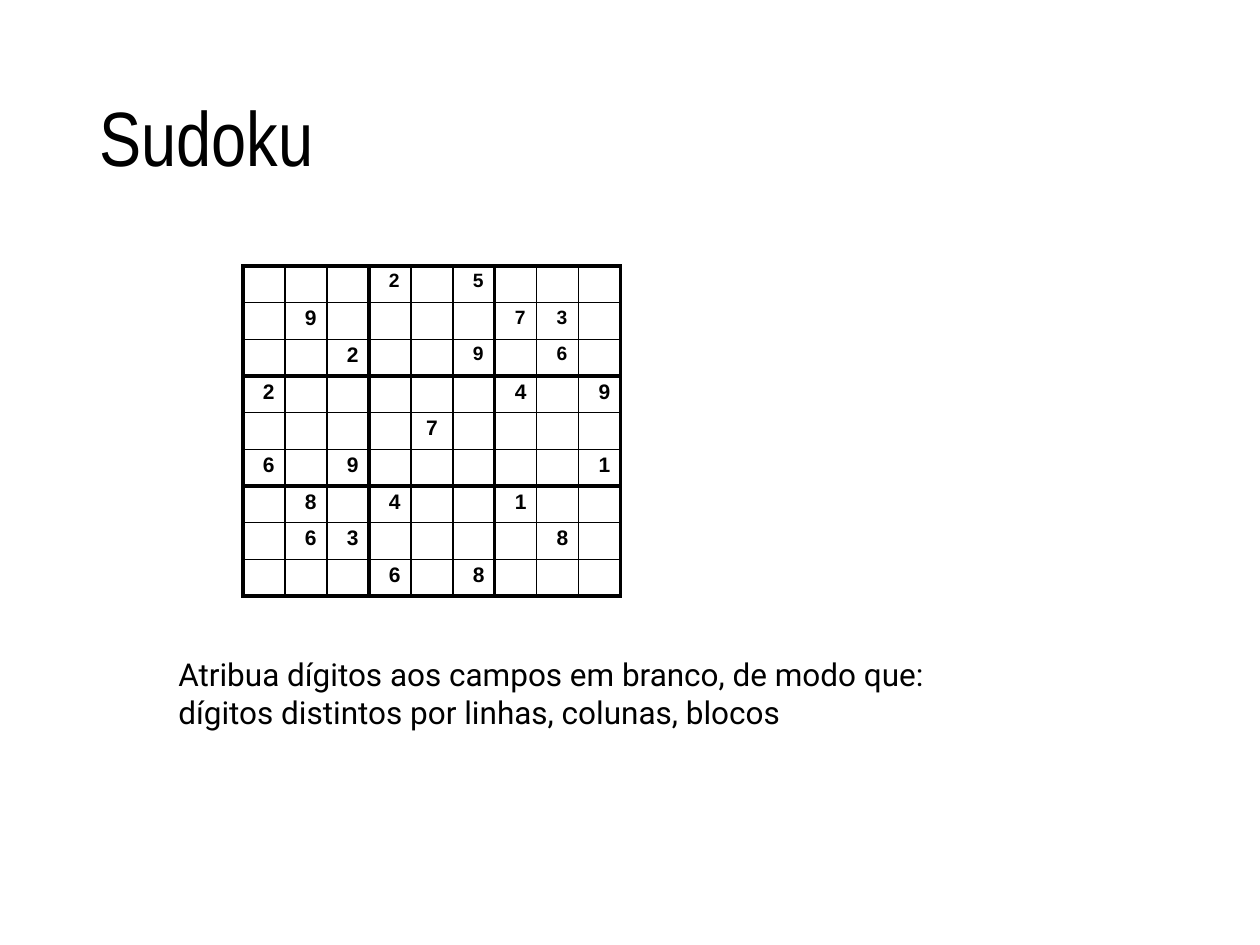
from lxml import etree
from pptx import Presentation
from pptx.dml.color import RGBColor
from pptx.enum.text import MSO_ANCHOR, MSO_AUTO_SIZE, PP_ALIGN
from pptx.oxml.ns import qn
from pptx.util import Inches, Pt

TITLE = "Sudoku"
PUZZLE = [
    "...2.5...",
    ".9....73.",
    "..2..9.6.",
    "2.....4.9",
    "....7....",
    "6.9.....1",
    ".8.4..1..",
    ".63....8.",
    "...6.8...",
]
RULES = [
    "Atribua dígitos aos campos em branco, de modo que:",
    "dígitos distintos por linhas, colunas, blocos",
]

PX = Inches(1) // 126
BLACK = RGBColor(0, 0, 0)
TITLE_BOX = (87, 50, 1086, 183)
GRID_BOX = (243, 266, 378, 330)
RULES_BOX = (166, 649, 926, 89)
SIZE = len(PUZZLE)
BLOCK = 3
DIGIT_INDENT = 20
DIGIT_MARGIN_TOP = 4
THICK, THIN = Pt(2.25), Pt(1)
TITLE_ONLY = 5
LEFT, CENTER = PP_ALIGN.LEFT, PP_ALIGN.CENTER
MIDDLE = MSO_ANCHOR.MIDDLE
FIT_SHAPE = MSO_AUTO_SIZE.SHAPE_TO_FIT_TEXT


def scaled(box):
    return [length * PX for length in box]


def set_font(paragraph, name, size, bold=False):
    font = paragraph.font
    font.name, font.size, font.bold = name, Pt(size), bold
    font.color.rgb = BLACK


def set_borders(cell, row, column):
    """Draw thick lines around each block and thin lines inside it."""
    edges = {"L": column, "R": column + 1, "T": row, "B": row + 1}
    properties = cell._tc.get_or_add_tcPr()
    for side, edge in edges.items():
        width = THIN if edge % BLOCK else THICK
        line = etree.SubElement(properties, qn(f"a:ln{side}"), w=str(width))
        fill = etree.SubElement(line, qn("a:solidFill"))
        etree.SubElement(fill, qn("a:srgbClr"), val=str(BLACK))


def fill_cell(cell, digit, row, column):
    set_borders(cell, row, column)
    cell.fill.background()
    cell.margin_left = cell.margin_right = cell.margin_bottom = 0
    cell.margin_top = DIGIT_MARGIN_TOP * PX
    paragraph = cell.text_frame.paragraphs[0]
    small = row < BLOCK <= column
    set_font(paragraph, "Arial", 11 if small else 12, bold=True)
    if digit == ".":
        return
    paragraph.text = digit
    paragraph.space_before = Pt(3.2)
    if row == column == SIZE // 2:
        paragraph.alignment = CENTER
    else:
        paragraph._p.get_or_add_pPr().set("marL", str(DIGIT_INDENT * PX))


def add_title(slide):
    title = slide.shapes.title
    title.left, title.top, title.width, title.height = scaled(TITLE_BOX)
    title.text_frame.text = TITLE
    title.text_frame.vertical_anchor = MIDDLE
    paragraph = title.text_frame.paragraphs[0]
    paragraph.alignment = LEFT
    paragraph.line_spacing = 0.9
    set_font(paragraph, "Arial Narrow", 44)


def add_puzzle(slide):
    grid = slide.shapes.add_table(SIZE, SIZE, *scaled(GRID_BOX)).table
    grid.first_row = grid.horz_banding = False
    for row, digits in enumerate(PUZZLE):
        for column, digit in enumerate(digits):
            fill_cell(grid.cell(row, column), digit, row, column)


def add_rules(slide):
    frame = slide.shapes.add_textbox(*scaled(RULES_BOX)).text_frame
    frame.word_wrap = True
    frame.auto_size = FIT_SHAPE
    frame.text = "\n".join(RULES)
    for paragraph in frame.paragraphs:
        set_font(paragraph, "Roboto", 18)


def main():
    presentation = Presentation()
    presentation.slide_width = 1260 * PX
    presentation.slide_height = 945 * PX
    slide = presentation.slides.add_slide(presentation.slide_layouts[TITLE_ONLY])
    add_title(slide)
    add_puzzle(slide)
    add_rules(slide)
    presentation.save("out.pptx")


if __name__ == "__main__":
    main()
